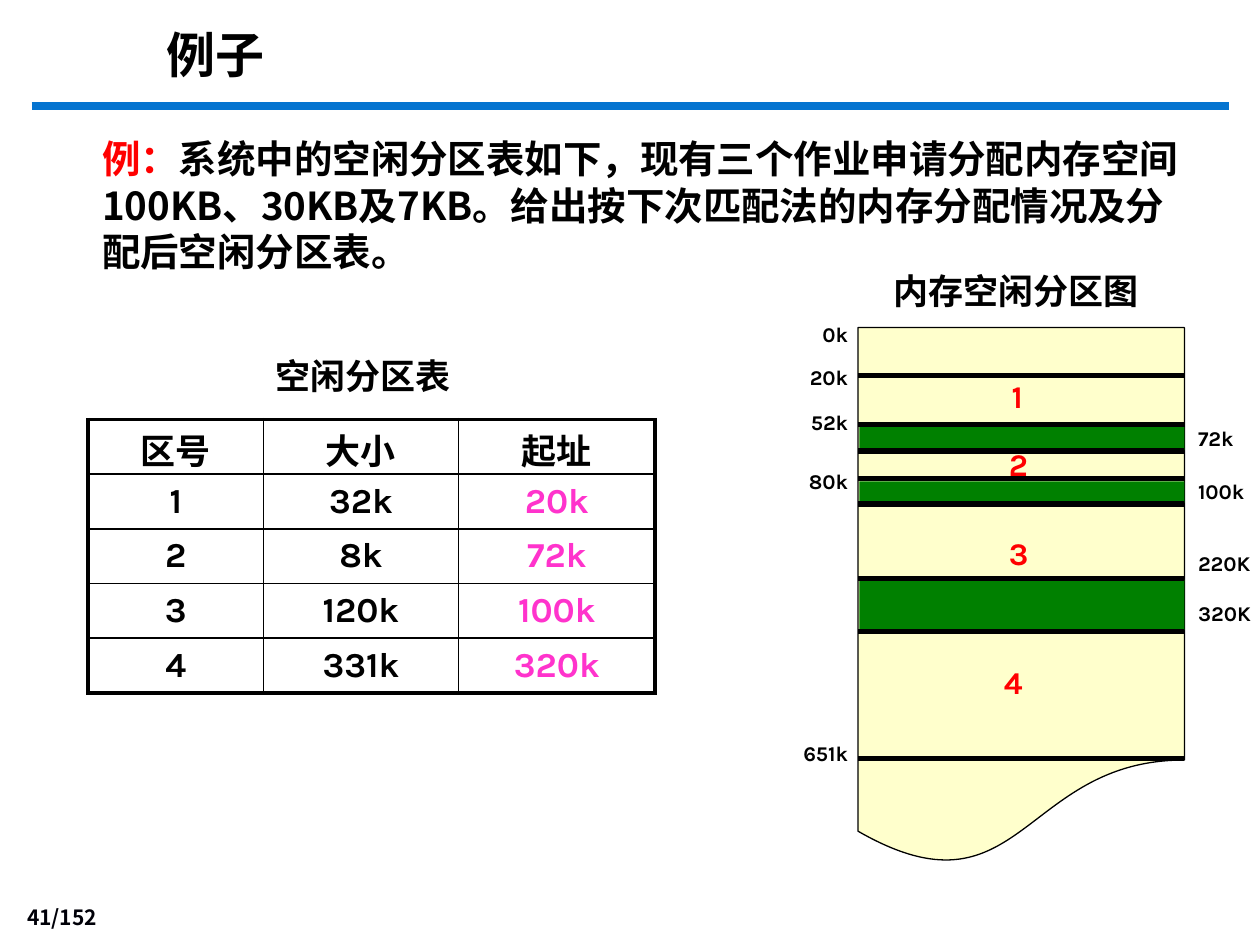
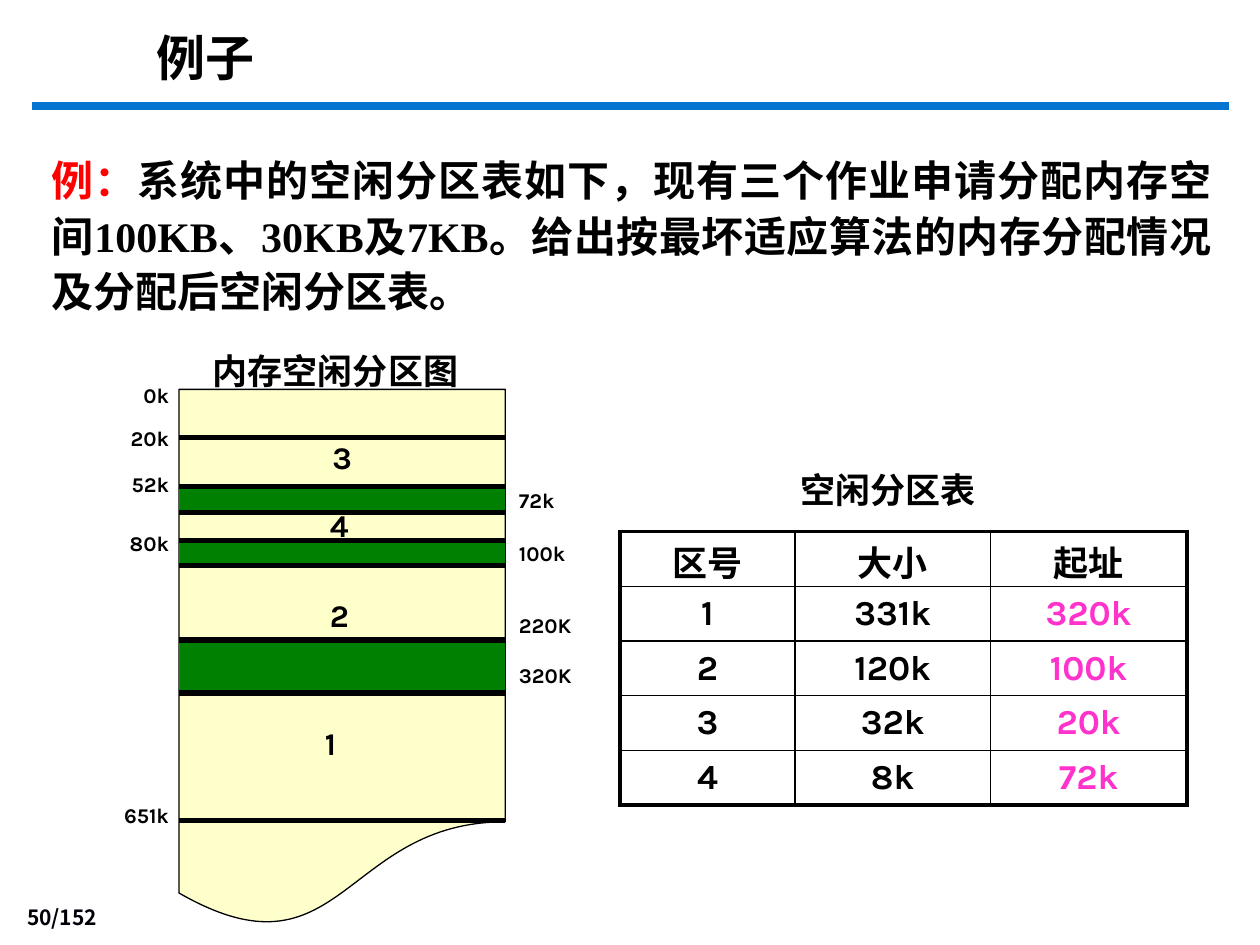
from lxml import etree
from pptx import Presentation
from pptx.dml.color import RGBColor
from pptx.enum.shapes import MSO_CONNECTOR, MSO_SHAPE
from pptx.enum.text import MSO_ANCHOR, MSO_AUTO_SIZE, PP_ALIGN
from pptx.oxml.ns import qn
from pptx.util import Inches, Pt

BLACK = RGBColor(0x00, 0x00, 0x00)
RED = RGBColor(0xFF, 0x00, 0x00)
PINK = RGBColor(0xFF, 0x33, 0xCC)
BLUE = RGBColor(0x05, 0x74, 0xD0)
NAVY = RGBColor(0x00, 0x00, 0x08)
CREAM = RGBColor(0xFF, 0xFF, 0xCC)
GREEN = RGBColor(0x00, 0x80, 0x00)

CJK, KARLA, TIMES = "Noto Sans CJK SC", "Karla", "Times New Roman"

# Memory map, measured from its top-left corner
MAP_W, MAP_H = 2.59, 4.28
BOUNDARIES = [0.38, 0.77, 0.98, 1.2, 1.4, 1.99, 2.41, 3.42]
USED_AREAS = [(0.79, 0.18), (1.22, 0.17), (2.0, 0.4)]
LEFT_LABELS = {"0k": 0.05, "20k": 0.39, "52k": 0.75, "80k": 1.22, "651k": 3.38}
RIGHT_LABELS = {"72k": 0.88, "100k": 1.3, "220K": 1.87, "320K": 2.27}
AREA_NUMBERS = [(1.12, 0.34), (1.1, 0.88), (1.1, 1.59), (1.06, 2.61)]

# Free partition table
TABLE_HEAD = ["区号", "大小", "起址"]
COLUMN_WIDTHS = [1.39, 1.55, 1.56]
ROW_HEIGHT = 0.434


class Deck:
    def __init__(self):
        self.prs = Presentation()
        self.prs.slide_width, self.prs.slide_height = Inches(10), Inches(7.5)
        self.s = None

    def slide(self, page):
        self.s = self.prs.slides.add_slide(self.prs.slide_layouts[1])
        self.line(0.25, 0.84, 9.75, BLUE, 4.5)
        self.text((0, 7.14, 0.87, 0.29), [(page, "Noto Sans CJK JP", NAVY)], 12,
                  align=PP_ALIGN.RIGHT, anchor=MSO_ANCHOR.BOTTOM)

    def runs(self, p, runs, size, align, leading=None):
        p.alignment = align
        p.space_before = Pt(0)
        p.line_spacing = Pt(leading) if leading else 1.0
        for text, name, color in runs:
            r = p.add_run()
            r.text = text
            r.font.color.rgb = color
            style = {"size": Pt(size), "bold": True, "name": name}
            for key, value in style.items():
                setattr(r.font, key, value)
            ea = etree.SubElement(r.font._element, qn("a:ea"))
            ea.set("typeface", CJK)

    def frame(self, sp, box, runs, size, align, anchor, leading=None):
        places = dict(zip(("left", "top", "width", "height"), map(Inches, box)))
        for key, value in places.items():
            setattr(sp, key, value)
        tf = sp.text_frame
        settings = {"word_wrap": True, "auto_size": MSO_AUTO_SIZE.NONE,
                    "vertical_anchor": anchor, "margin_left": Inches(0.1),
                    "margin_right": Inches(0.1), "margin_bottom": Inches(0.05),
                    "margin_top": Inches(0.08 if leading else 0.05)}
        for key, value in settings.items():
            setattr(tf, key, value)
        self.runs(tf.paragraphs[0], runs, size, align, leading)

    def text(self, box, runs, size, align=PP_ALIGN.LEFT,
             anchor=MSO_ANCHOR.MIDDLE, leading=None):
        sp = self.s.shapes.add_textbox(*map(Inches, box))
        self.frame(sp, box, runs, size, align, anchor, leading)

    def caption(self, box, text, name, align):
        self.text(box, [(text, name, BLACK)], 20, align, MSO_ANCHOR.TOP, 24)

    def title(self, box, text, name):
        self.frame(self.s.shapes.title, box, [(text, name, BLACK)], 28,
                   PP_ALIGN.LEFT, MSO_ANCHOR.TOP, 34)

    def body(self, box, runs, size, align, leading):
        sp = self.s.placeholders[1]
        pPr = sp.text_frame.paragraphs[0]._p.get_or_add_pPr()
        pPr.set("marL", "0")
        pPr.set("indent", "0")
        etree.SubElement(pPr, qn("a:buNone"))
        self.frame(sp, box, runs, size, align, MSO_ANCHOR.TOP, leading)

    def line(self, x1, y, x2, color, width):
        c = self.s.shapes.add_connector(MSO_CONNECTOR.STRAIGHT, Inches(x1),
                                        Inches(y), Inches(x2), Inches(y))
        c.line.color.rgb = color
        c.line.width = Pt(width)
        etree.SubElement(c._element.spPr, qn("a:effectLst"))

    def shape(self, kind, box, fill, outline=None):
        sp = self.s.shapes.add_shape(kind, *map(Inches, box))
        sp.shadow.inherit = False
        sp.fill.solid()
        sp.fill.fore_color.rgb = fill
        if outline is None:
            sp.line.fill.background()
        else:
            sp.line.color.rgb = outline
            sp.line.width = Pt(0.75)

    def borders(self, cell, widths):
        tcPr = cell._tc.get_or_add_tcPr()
        for i, (side, width) in enumerate(widths.items()):
            ln = etree.Element(qn("a:ln" + side), w=str(Pt(width)))
            fill = etree.SubElement(ln, qn("a:solidFill"))
            etree.SubElement(fill, qn("a:srgbClr"), val=str(BLACK))
            tcPr.insert(i, ln)

    def table(self, x, y, partitions):
        rows = [TABLE_HEAD] + [[str(i), *part] for i, part in enumerate(partitions, 1)]
        last_row, last_col = len(rows) - 1, len(TABLE_HEAD) - 1
        table = self.s.shapes.add_table(
            len(rows), len(TABLE_HEAD), Inches(x), Inches(y),
            Inches(sum(COLUMN_WIDTHS)), Inches(ROW_HEIGHT * len(rows))).table
        table.first_row = table.horz_banding = False
        for column, width in zip(table.columns, COLUMN_WIDTHS):
            column.width = Inches(width)
        for i, row in enumerate(rows):
            table.rows[i].height = Inches(ROW_HEIGHT)
            for j, text in enumerate(row):
                cell = table.cell(i, j)
                cell.margin_top = cell.margin_bottom = 0
                cell.vertical_anchor = MSO_ANCHOR.MIDDLE if i else MSO_ANCHOR.BOTTOM
                cell.fill.background()
                outer = {"L": j == 0, "R": j == last_col, "T": i == 0, "B": i == last_row}
                self.borders(cell, {k: 2.25 if edge else 1 for k, edge in outer.items()})
                color = PINK if i and j == last_col else BLACK
                self.runs(cell.text_frame.paragraphs[0], [(text, KARLA, color)],
                          20, PP_ALIGN.CENTER)

    def memory_map(self, x, y, numbers, color):
        self.shape(MSO_SHAPE.FLOWCHART_DOCUMENT, (x, y, MAP_W, MAP_H), CREAM, BLACK)
        for dy, height in USED_AREAS:
            self.shape(MSO_SHAPE.RECTANGLE, (x + 0.01, y + dy, 2.58, height), GREEN)
        for dy in BOUNDARIES:
            self.line(x, y + dy, x + MAP_W, BLACK, 3)
        sides = [(LEFT_LABELS, x - 1.06, 1.08, PP_ALIGN.RIGHT),
                 (RIGHT_LABELS, x + 2.6, 0.79, PP_ALIGN.LEFT)]
        for labels, left, width, align in sides:
            for label, dy in labels.items():
                self.text((left, y + dy - 0.15, width, 0.3),
                          [(label, KARLA, BLACK)], 12, align)
        for number, (dx, dy) in zip(numbers, AREA_NUMBERS):
            self.text((x + dx, y + dy, 0.36, 0.4), [(number, KARLA, color)], 18)


def main():
    deck = Deck()
    lead = ("例：", CJK, RED)
    intro = "系统中的空闲分区表如下，现有三个作业申请分配内存空间"
    map_name, table_name = "内存空闲分区图", "空闲分区表"

    # Next fit
    deck.slide("41/152")
    deck.title((1.22, 0.11, 6.02, 0.57), "例子", CJK)
    task = intro + "100KB、30KB及7KB。给出按下次匹配法的内存分配情况及分配后空闲分区表。"
    deck.body((0.71, 0.99, 8.82, 1.21), [lead, (task, CJK, BLACK)],
              22, PP_ALIGN.LEFT, 26.6)
    deck.table(0.7, 3.33, [("32k", "20k"), ("8k", "72k"),
                           ("120k", "100k"), ("331k", "320k")])
    deck.caption((1.34, 2.73, 3.08, 0.43), table_name, CJK, PP_ALIGN.CENTER)
    deck.memory_map(6.81, 2.6, "1234", RED)
    deck.caption((6.99, 2.06, 2.22, 0.44), map_name, TIMES, PP_ALIGN.LEFT)

    # Worst fit
    deck.slide("50/152")
    deck.title((1.14, 0.13, 4.96, 0.57), "例子", "Arial")
    parts = [(intro, CJK), ("100KB、30KB", TIMES), ("及", CJK), ("7KB", TIMES),
             ("。给出按最坏适应算法的内存分配情况及分配后空闲分区表。", CJK)]
    deck.body((0.31, 1.11, 9.41, 1.38), [lead] + [(*part, BLACK) for part in parts],
              24, PP_ALIGN.JUSTIFY, 31.7)
    deck.table(4.92, 4.22, [("331k", "320k"), ("120k", "100k"),
                            ("32k", "20k"), ("8k", "72k")])
    deck.caption((5.51, 3.64, 3.08, 0.43), table_name, CJK, PP_ALIGN.CENTER)
    deck.memory_map(1.42, 3.09, "3421", BLACK)
    deck.caption((1.59, 2.69, 2.22, 0.44), map_name, TIMES, PP_ALIGN.LEFT)

    deck.prs.save("out.pptx")


if __name__ == "__main__":
    main()
